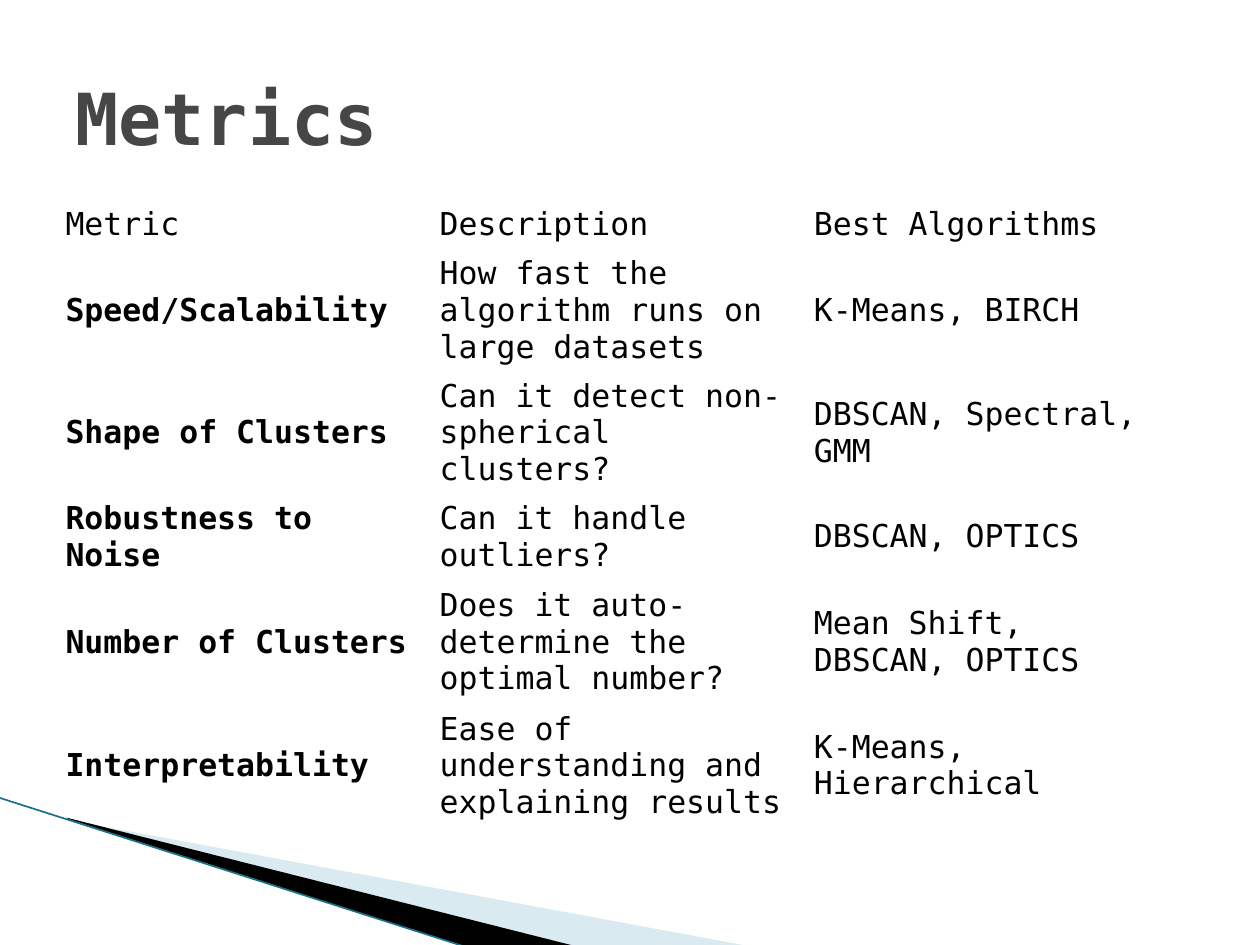
from dataclasses import dataclass

from lxml.etree import SubElement
from pptx import Presentation
from pptx.dml.color import RGBColor as Rgb
from pptx.enum.shapes import MSO_CONNECTOR as Link
from pptx.enum.text import MSO_ANCHOR as Anchor
from pptx.oxml.ns import qn
from pptx.util import Inches, Pt

TITLE = "Metrics"
ROWS = [
    ("Metric", "Description", "Best Algorithms"),
    ("Speed/Scalability", "How fast the algorithm runs on large datasets",
     "K-Means, BIRCH"),
    ("Shape of Clusters", "Can it detect non-spherical clusters?",
     "DBSCAN, Spectral, GMM"),
    ("Robustness to Noise", "Can it handle outliers?", "DBSCAN, OPTICS"),
    ("Number of Clusters", "Does it auto-determine the optimal number?",
     "Mean Shift, DBSCAN, OPTICS"),
    ("Interpretability", "Ease of understanding and explaining results",
     "K-Means, Hierarchical"),
]
HEIGHTS = [0.4, 0.69, 0.69, 0.4, 0.99, 0.69]
COL_WIDTH = 2.97
NO_GRID = "{2D5ABB26-0587-4C30-8999-92F81FD0307C}"


@dataclass(frozen=True)
class Theme:
    font: str = "DejaVu Sans Mono"
    head: Rgb = Rgb.from_string("464646")
    ink: Rgb = Rgb.from_string("000000")
    pale: Rgb = Rgb.from_string("A0CBDC")
    edge: Rgb = Rgb.from_string("1B7186")
    head_size: int = 41
    body_size: int = 18


LOOK = Theme()
# Corner points, fill and opacity in percent
WEDGES = [
    ([(0.55, 6.51), (5.95, 7.51), (4.56, 7.51), (0.55, 6.5)], LOOK.pale, 40),
    ([(0.53, 6.49), (4.57, 7.51), (3.72, 7.52), (0.54, 6.5)], LOOK.ink, 100),
]
EDGE = (-0.01, 6.33, 3.71, 7.52)


def style(para, size, color, bold):
    font = para.font
    font.name, font.size, font.bold = LOOK.font, Pt(size), bold
    font.color.rgb = color


def add_wedge(shapes, points, color, alpha):
    start, *rest = [(Inches(x), Inches(y)) for x, y in points]
    pen = shapes.build_freeform(*start)
    pen.add_line_segments(rest)
    wedge = pen.convert_to_shape()
    wedge.shadow.inherit = False
    wedge.line.fill.background()
    wedge.fill.solid()
    wedge.fill.fore_color.rgb = color
    if alpha < 100:
        tone = wedge.fill._xPr.find(qn("a:solidFill"))[0]
        SubElement(tone, qn("a:alpha"), val=str(alpha * 1000))


def add_edge(shapes):
    edge = shapes.add_connector(Link.STRAIGHT, *map(Inches, EDGE))
    edge.line.color.rgb = LOOK.edge
    edge.line.width = Pt(0.95)
    SubElement(edge._element.spPr, qn("a:effectLst"))


def add_title(shapes):
    box = shapes.add_textbox(*map(Inches, (0.5, 0.3, 9, 1.25)))
    frame = box.text_frame
    frame.word_wrap = True
    frame.vertical_anchor = Anchor.MIDDLE
    frame.text = TITLE
    style(frame.paragraphs[0], LOOK.head_size, LOOK.head, True)


def add_grid(shapes):
    cols = len(ROWS[0])
    size = (0.42, 1.58, COL_WIDTH * cols, sum(HEIGHTS))
    table = shapes.add_table(len(ROWS), cols, *map(Inches, size)).table
    table.first_row = table.horz_banding = False
    table._tbl.tblPr.find(qn("a:tableStyleId")).text = NO_GRID
    for col in table.columns:
        col.width = Inches(COL_WIDTH)
    for r, (texts, height) in enumerate(zip(ROWS, HEIGHTS)):
        table.rows[r].height = Inches(height)
        for c, text in enumerate(texts):
            cell = table.cell(r, c)
            cell.text = text
            cell.fill.background()
            cell.vertical_anchor = Anchor.MIDDLE
            style(cell.text_frame.paragraphs[0], LOOK.body_size, LOOK.ink,
                  r > 0 and c == 0)


def main():
    deck = Presentation()
    deck.slide_width, deck.slide_height = Inches(10), Inches(7.5)
    shapes = deck.slides.add_slide(deck.slide_layouts[6]).shapes
    for wedge in WEDGES:
        add_wedge(shapes, *wedge)
    add_edge(shapes)
    add_grid(shapes)
    add_title(shapes)
    deck.save("out.pptx")


if __name__ == "__main__":
    main()
